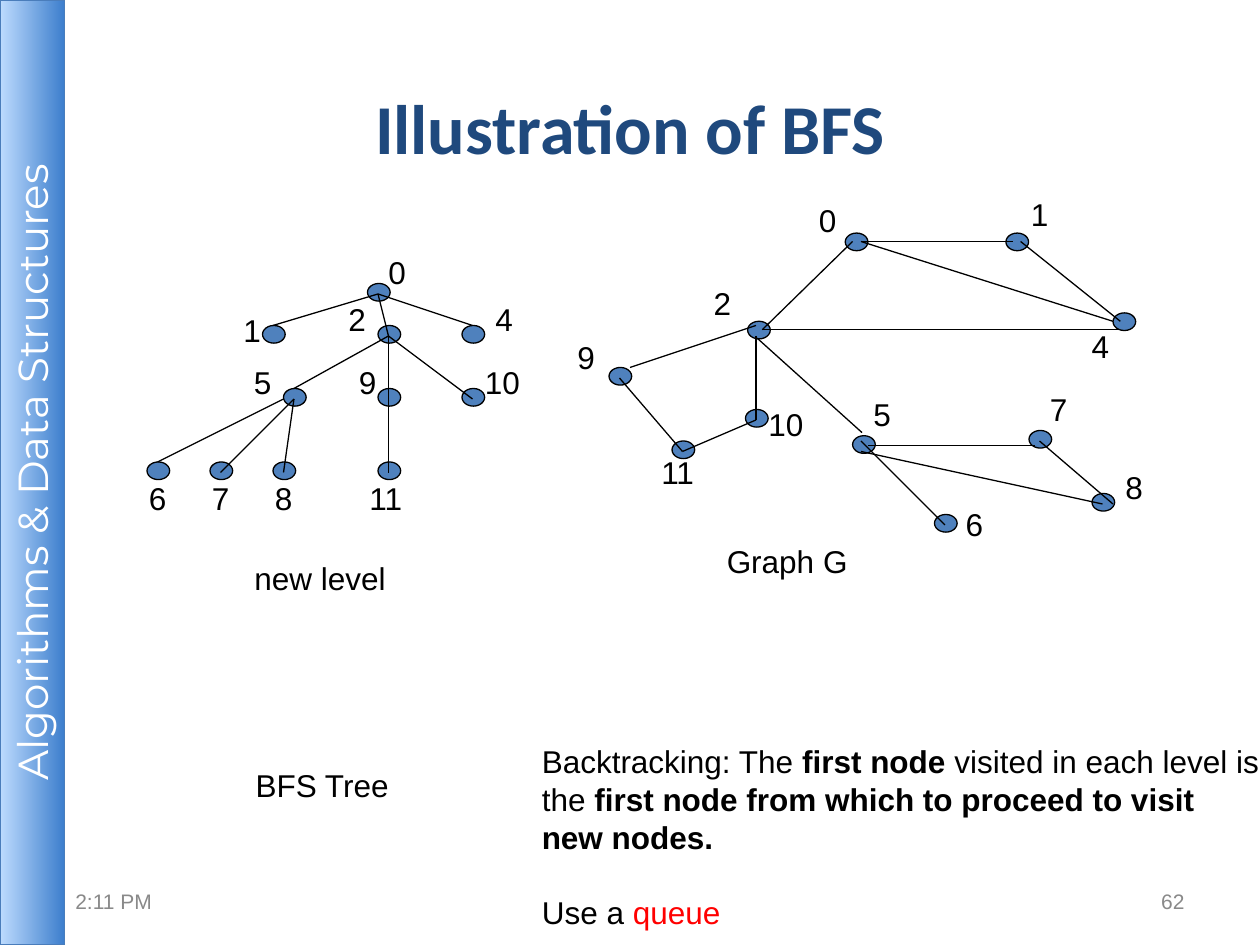
from collections import namedtuple
from lxml.etree import SubElement
from pptx import Presentation
from pptx.dml.color import RGBColor
from pptx.enum.shapes import MSO_CONNECTOR as CONNECTOR, MSO_SHAPE as SHAPE
from pptx.enum.text import MSO_ANCHOR as ANCHOR, MSO_AUTO_SIZE as AUTO_SIZE, PP_ALIGN as ALIGN
from pptx.oxml.ns import qn
from pptx.util import Inches, Pt

Box = namedtuple("Box", "left top width height")
CELL = 1 / 12  # grid step of both diagrams, in inches
BLACK, GREY, RED, WHITE = "000000", "898989", "FF0000", "FFFFFF"
NODE_FILL = "4F81BD"

# Tree and graph data in grid cells: number -> (node column, row, label column, row)
TREE_NODES = {
    0: (23, 3, 23.8, -0.5), 1: (13, 7, 10, 5), 2: (24, 7, 20, 4), 4: (32, 7, 34, 4),
    5: (15, 13, 11, 10), 9: (24, 13, 21, 10), 10: (32, 13, 33, 10),
    6: (2, 20, 1, 21), 7: (8, 20, 7, 21), 8: (14, 20, 13, 21), 11: (24, 20, 22, 21),
}
TREE_EDGES = [
    (24, 4, 14, 7), (24, 4, 25, 8), (24, 4, 33, 7),
    (16, 13, 25, 8), (25, 14, 25, 8), (33, 14, 25, 8),
    (15, 14, 3, 20), (16, 14, 9, 21), (16, 14, 15, 21), (25, 14, 25, 21),
]
GRAPH_NODES = {
    0: (32.5, 4.2, 28.8, 0.6), 1: (47.8, 4.2, 49, 0), 2: (23.2, 12.6, 18.8, 8.5),
    4: (58, 11.8, 54.8, 12.6), 5: (33.2, 23.5, 34, 19), 6: (41, 31, 42.8, 29.5),
    7: (50, 23, 50.8, 18.6), 8: (56, 29, 58, 26), 9: (10, 17, 5.8, 13.6),
    10: (23, 21, 24, 20), 11: (16, 24, 13.8, 24.6),
}
GRAPH_EDGES = [
    (34, 5, 48.5, 5), (24.6, 13.4, 58.7, 13.4), (24.6, 13.4, 33.2, 5),
    (49.2, 5, 58.7, 12.6), (34.7, 24.4, 50.6, 24.4), (34, 5, 58, 12.6),
    (34.1, 23.2, 24.1, 14.2), (51, 24, 58, 30), (34, 24, 42, 32), (34, 25, 57, 30),
    (24, 13, 12, 17), (24, 14, 24, 22), (11, 18, 17, 25), (24, 22, 17, 25),
]


def color(hex_string):
    return RGBColor.from_string(hex_string)


def inches(values):
    return [Inches(value) for value in values]


def add_run(paragraph, text, hex_color=BLACK, **formats):
    run = paragraph.add_run()
    run.text = text
    for name, value in {"name": "Arial", "size": Pt(18), **formats}.items():
        setattr(run.font, name, value)
    run.font.color.rgb = color(hex_color)


def add_text(slide, box, text, hex_color=BLACK, align=ALIGN.LEFT, frame=None, **formats):
    text_frame = slide.shapes.add_textbox(*inches(box)).text_frame
    settings = {"word_wrap": False, "auto_size": AUTO_SIZE.SHAPE_TO_FIT_TEXT, **(frame or {})}
    for name, value in settings.items():
        setattr(text_frame, name, value)
    paragraph = text_frame.paragraphs[0]
    paragraph.alignment = align
    add_run(paragraph, text, hex_color, **formats)


def add_side_bar(slide, box):
    """Course name on a gradient bar, turned to read upwards."""
    center_x, center_y = box.left + box.width / 2, box.top + box.height / 2
    turned = Box(center_x - box.height / 2, center_y - box.width / 2, box.height, box.width)
    bar = slide.shapes.add_shape(SHAPE.RECTANGLE, *inches(turned))
    bar.rotation = 270
    bar.shadow.inherit = False
    bar.fill.gradient()
    bar.fill.gradient_angle = 0
    for stop, shade, position in zip(bar.fill.gradient_stops, ("BDDBFE", "3E7FCD"), (0, 1)):
        stop.color.rgb = color(shade)
        stop.position = position
    # The gradient runs across the slide, whatever the rotation of the bar
    bar.element.spPr.find(qn("a:gradFill")).set("rotWithShape", "0")
    bar.line.color.rgb = color("4A7DBB")
    bar.line.width = Pt(0.75)
    bar.text_frame.vertical_anchor = ANCHOR.MIDDLE
    for side in ("left", "right", "top", "bottom"):
        setattr(bar.text_frame, f"margin_{side}", Inches(0.04))
    paragraph = bar.text_frame.paragraphs[0]
    paragraph.alignment = ALIGN.CENTER
    add_run(paragraph, "Algorithms & Data Structures", WHITE, name="Montserrat", size=Pt(24))


def add_diagram(slide, left, top, nodes, edges):
    """Numbered nodes joined by edges, on a grid that starts at left, top."""
    def place(column, row):
        return left + column * CELL, top + row * CELL

    # Nodes
    for column, row, *_ in nodes.values():
        node = slide.shapes.add_shape(SHAPE.OVAL, *inches((*place(column, row), 0.18, 0.14)))
        node.shadow.inherit = False
        node.fill.solid()
        node.fill.fore_color.rgb = color(NODE_FILL)
        node.line.color.rgb = color(BLACK)
        node.line.width = Pt(0.75)
    # Edges
    for start_column, start_row, end_column, end_row in edges:
        ends = (*place(start_column, start_row), *place(end_column, end_row))
        edge = slide.shapes.add_connector(CONNECTOR.STRAIGHT, *inches(ends))
        edge.line.color.rgb = color(BLACK)
        edge.line.width = Pt(0.75)
        SubElement(edge.element.spPr, qn("a:effectLst"))
    # Labels
    for number, (*_, column, row) in nodes.items():
        width = 0.53 if number > 9 else 0.37
        add_text(slide, Box(*place(column, row), width, 0.5), str(number))


def add_explanation(slide, box):
    """How the search goes on, in two paragraphs."""
    text_frame = slide.shapes.add_textbox(*inches(box)).text_frame
    settings = {"word_wrap": True, "margin_left": Inches(0.6), "margin_top": Inches(0.35)}
    for name, value in settings.items():
        setattr(text_frame, name, value)
    rule = text_frame.paragraphs[0]
    add_run(rule, "Backtracking: The ")
    add_run(rule, "first node ", bold=True)
    add_run(rule, "visited in each level is the ")
    add_run(rule, "first node from which to proceed to visit new nodes.", bold=True)
    structure = text_frame.add_paragraph()
    structure.space_before = Pt(21.5)
    add_run(structure, "Use a ")
    add_run(structure, "queue", RED)


def add_footer(slide, box):
    """Time at the left end and slide number at the right end."""
    width = 2.33
    middle = {"vertical_anchor": ANCHOR.MIDDLE, "word_wrap": True, "auto_size": AUTO_SIZE.NONE}
    parts = [("2:11 PM", box.left, ALIGN.LEFT),
             ("62", box.left + box.width - width, ALIGN.RIGHT)]
    for text, left, align in parts:
        add_text(slide, Box(left, box.top, width, box.height), text, GREY, align, middle, size=Pt(12))


def main():
    presentation = Presentation()
    presentation.slide_width, presentation.slide_height = inches((10, 7.5))
    slide = presentation.slides.add_slide(presentation.slide_layouts[6])

    add_side_bar(slide, Box(0, 0, 0.51, 7.5))
    add_text(slide, Box(0.75, 0.67, 8.5, 0.67), "Illustration of BFS", "1F497D", ALIGN.CENTER,
             {"vertical_anchor": ANCHOR.MIDDLE, "word_wrap": True, "auto_size": AUTO_SIZE.NONE},
             name="Calibri", size=Pt(40), bold=True)

    add_diagram(slide, 4, 1.5, GRAPH_NODES, GRAPH_EDGES)
    add_diagram(slide, 1, 2, TREE_NODES, TREE_EDGES)
    add_text(slide, Box(5.67, 4.25, 1.36, 0.5), "Graph G")
    add_text(slide, Box(1.92, 4.39, 1.25, 1.01), "new level")
    add_text(slide, Box(1.93, 6.03, 1.49, 0.5), "BFS Tree")

    add_explanation(slide, Box(3.7, 5.54, 6.39, 2.22))
    add_footer(slide, Box(0.5, 6.95, 9, 0.4))
    presentation.save("out.pptx")


if __name__ == "__main__":
    main()
